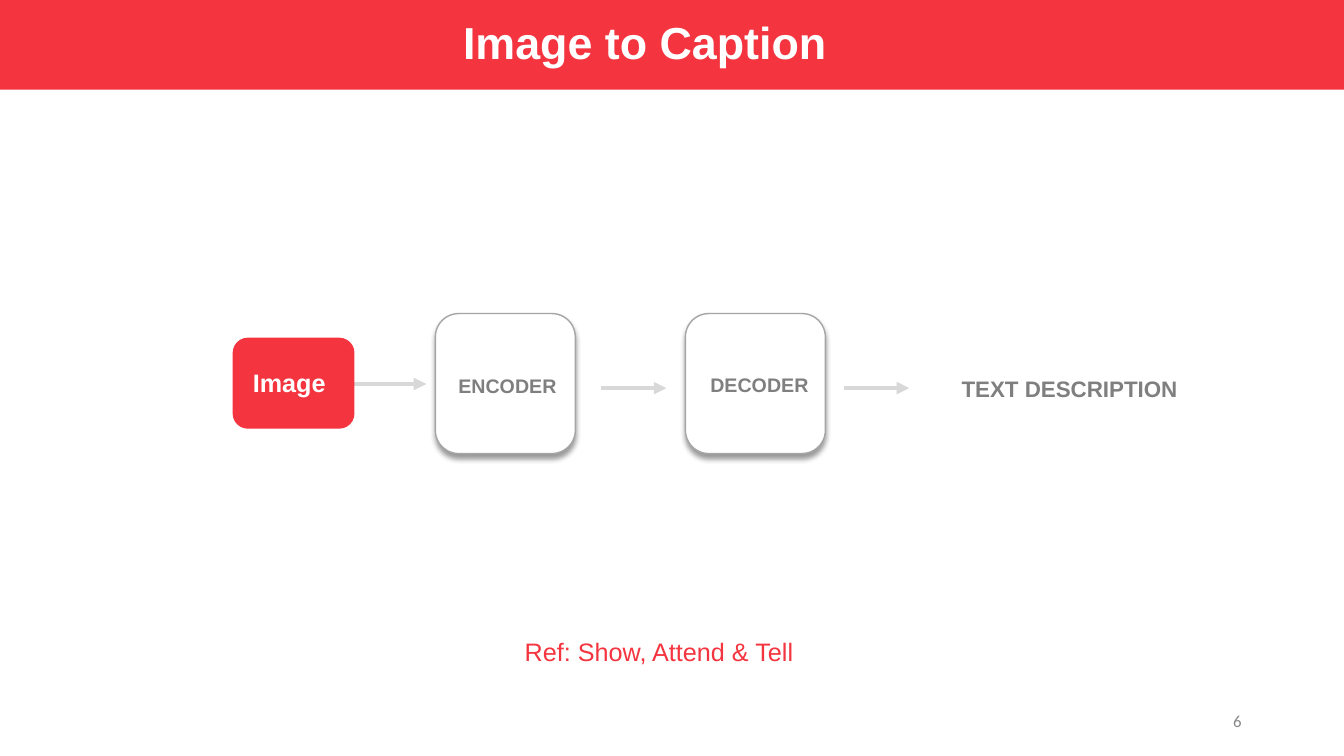
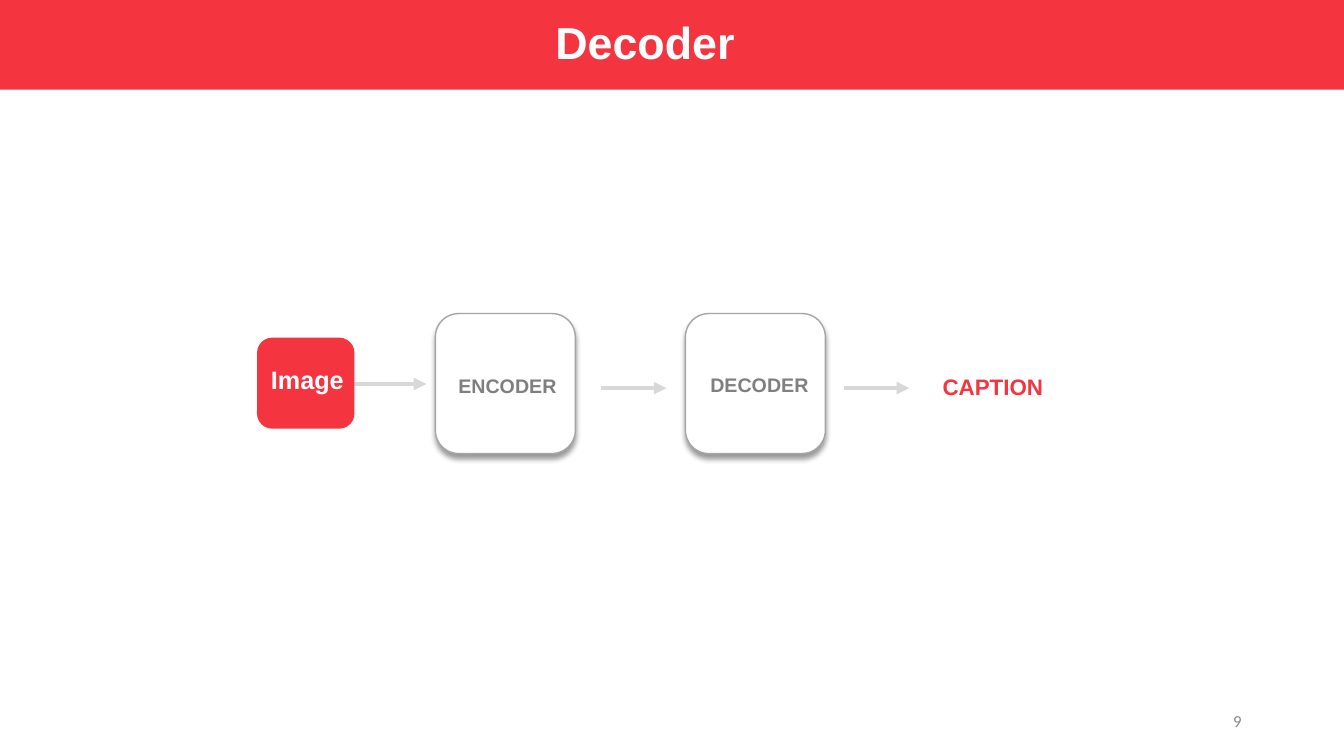
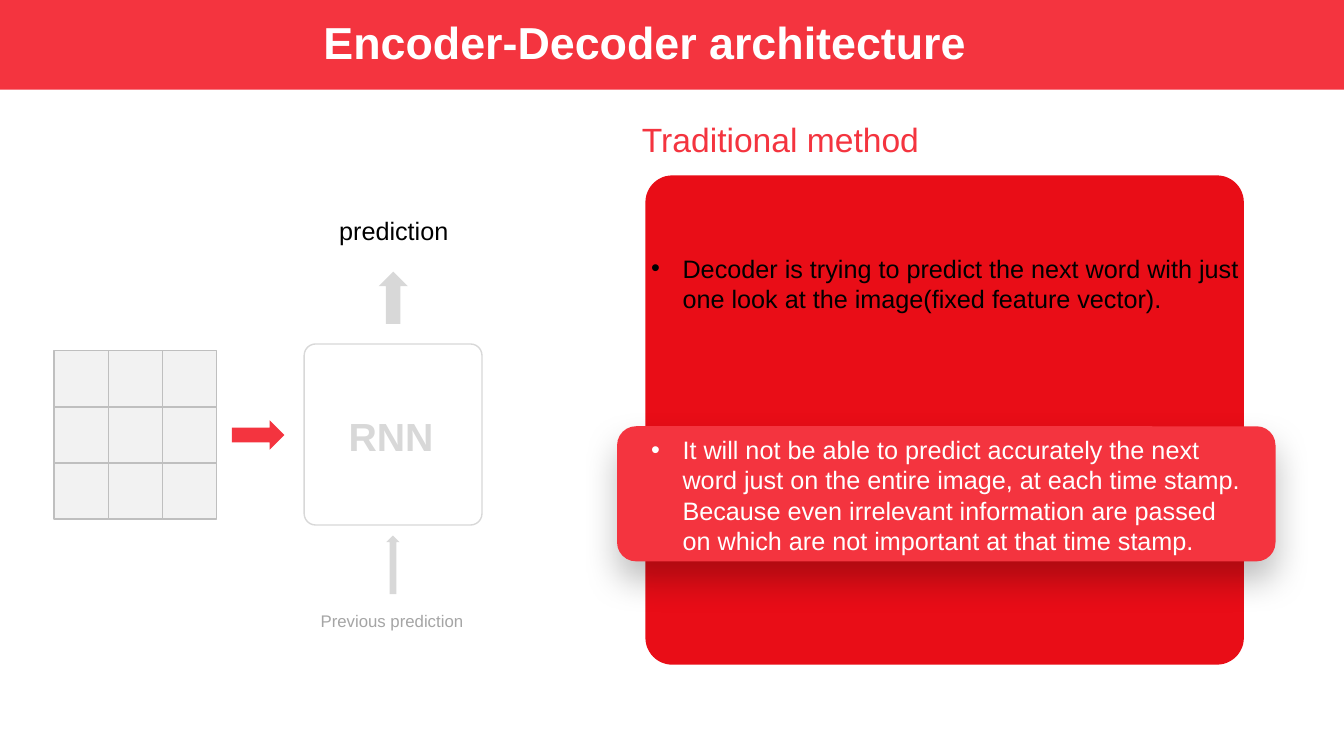
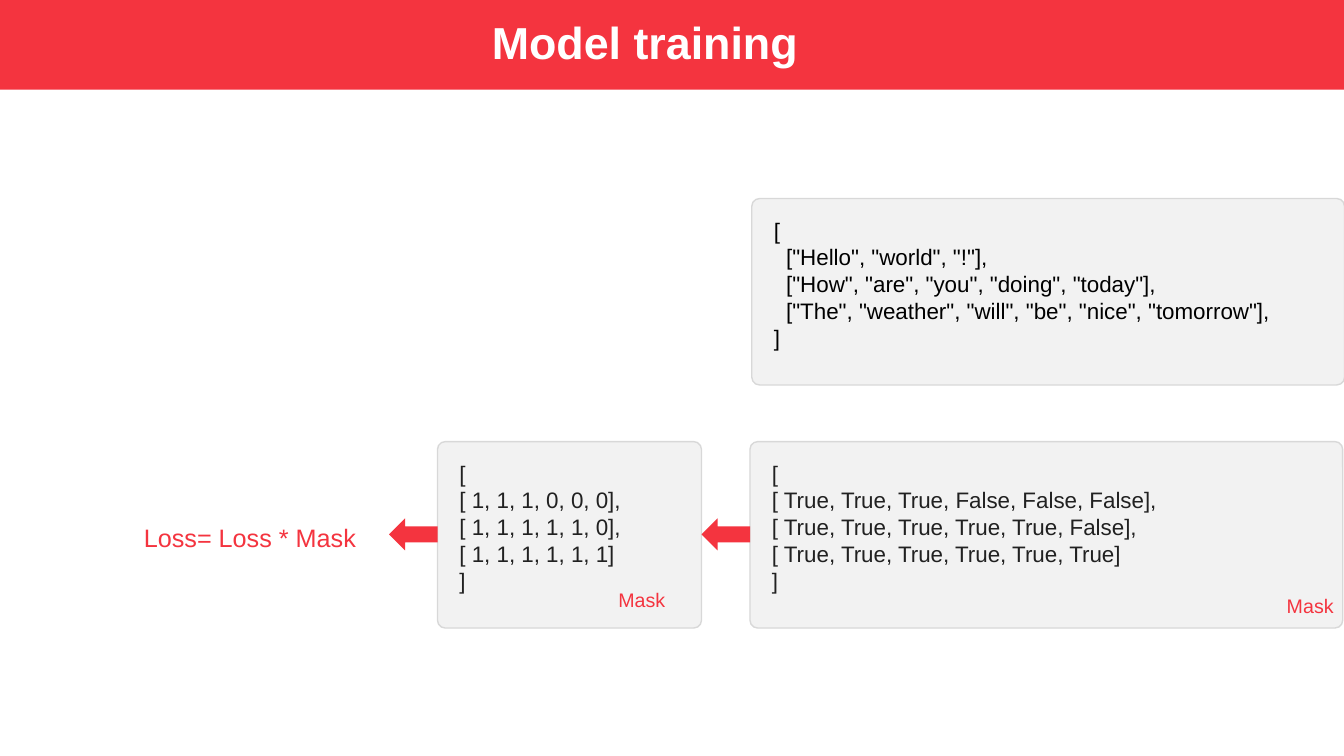
from lxml import etree
from pptx import Presentation
from pptx.dml.color import RGBColor
from pptx.enum.shapes import MSO_CONNECTOR, MSO_SHAPE
from pptx.enum.text import MSO_ANCHOR, PP_ALIGN
from pptx.oxml.ns import qn
from pptx.util import Pt

# Shared palette and fonts
RED = RGBColor(0xF4, 0x34, 0x3F)
DEEP_RED = RGBColor(0xE9, 0x0D, 0x17)
WHITE = RGBColor(0xFF, 0xFF, 0xFF)
BLACK = RGBColor(0x00, 0x00, 0x00)
INK = RGBColor(0x21, 0x21, 0x21)
GRAY = RGBColor(0x7F, 0x7F, 0x7F)
PAGE_GRAY = RGBColor(0x88, 0x88, 0x88)
MID_GRAY = RGBColor(0xA5, 0xA5, 0xA5)
CELL_LINE = RGBColor(0xBF, 0xBF, 0xBF)
LIGHT_GRAY = RGBColor(0xD8, 0xD8, 0xD8)
PALE = RGBColor(0xF2, 0xF2, 0xF2)
SANS = "Arial"
PAGE_FONT = "Calibri"

LEFT, CENTER, RIGHT = PP_ALIGN.LEFT, PP_ALIGN.CENTER, PP_ALIGN.RIGHT
RECT, ROUND = MSO_SHAPE.RECTANGLE, MSO_SHAPE.ROUNDED_RECTANGLE
RIGHT_ARROW, LEFT_ARROW, UP_ARROW = (
    MSO_SHAPE.RIGHT_ARROW, MSO_SHAPE.LEFT_ARROW, MSO_SHAPE.UP_ARROW)
TOP, MIDDLE = MSO_ANCHOR.TOP, MSO_ANCHOR.MIDDLE
STRAIGHT = MSO_CONNECTOR.STRAIGHT

SLIDE_W, SLIDE_H = 960, 540
BULLET_INDENT = 22.5


def add_shape(s, kind, x, y, w, h, fill, line=None, radius=None):
    sp = s.shapes.add_shape(kind, Pt(x), Pt(y), Pt(w), Pt(h))
    sp.shadow.inherit = False
    sp.fill.solid()
    sp.fill.fore_color.rgb = fill
    if line is None:
        sp.line.fill.background()
    else:
        sp.line.color.rgb = line
        sp.line.width = Pt(1)
    if radius is not None:
        sp.adjustments[0] = radius
    return sp


def add_shadow(sp, blur, dist, opacity):
    """Black shadow straight below the shape."""
    effects = sp._element.spPr.find(qn("a:effectLst"))
    shadow = etree.SubElement(
        effects, qn("a:outerShdw"), blurRad=str(Pt(blur)), dist=str(Pt(dist)),
        dir="5400000", algn="t", rotWithShape="0")
    color = etree.SubElement(shadow, qn("a:srgbClr"), val=str(BLACK))
    etree.SubElement(color, qn("a:alpha"), val=str(opacity * 1000))


def add_run(p, text, size, color, bold=False, font=SANS):
    r = p.add_run()
    r.text = text
    r.font.name = font
    r.font.size = Pt(size)
    r.font.bold = bold
    r.font.color.rgb = color


def add_frame(s, x, y, w, h, anchor=TOP):
    tf = s.shapes.add_textbox(Pt(x), Pt(y), Pt(w), Pt(h)).text_frame
    tf.word_wrap = True
    tf.vertical_anchor = anchor
    return tf


def add_text(s, x, y, w, h, lines, size, color, bold=False, align=CENTER,
             font=SANS, anchor=TOP):
    tf = add_frame(s, x, y, w, h, anchor)
    for i, line in enumerate(lines):
        p = tf.add_paragraph() if i else tf.paragraphs[0]
        p.alignment = align
        add_run(p, line, size, color, bold, font)


def add_bullet(p, text, size, color):
    pPr = p._p.get_or_add_pPr()
    pPr.set("marL", str(Pt(BULLET_INDENT)))
    pPr.set("indent", str(-Pt(BULLET_INDENT)))
    bu_color = etree.SubElement(pPr, qn("a:buClr"))
    etree.SubElement(bu_color, qn("a:srgbClr"), val=str(color))
    etree.SubElement(pPr, qn("a:buFont"), typeface=SANS)
    etree.SubElement(pPr, qn("a:buChar"), char="•")
    add_run(p, text, size, color)


def add_flow_arrow(s, x1, x2, y):
    cx = s.shapes.add_connector(STRAIGHT, Pt(x1), Pt(y), Pt(x2), Pt(y))
    cx.line.color.rgb = LIGHT_GRAY
    cx.line.width = Pt(3)
    etree.SubElement(cx.line._get_or_add_ln(), qn("a:tailEnd"), type="triangle")
    etree.SubElement(cx._element.spPr, qn("a:effectLst"))


def add_titled_slide(prs, title):
    s = prs.slides.add_slide(prs.slide_layouts[6])
    add_shape(s, RECT, 0, 0, SLIDE_W, 64, RED)
    add_text(s, 210, 7, 501.5, 46, [title], 32, WHITE, bold=True)
    return s


def add_page_number(s, number):
    add_text(s, 678, 500.5, 216, 28.8, [number], 12, PAGE_GRAY, align=RIGHT,
             font=PAGE_FONT, anchor=MIDDLE)


def add_stage(s, x, label, label_x, label_y):
    box = add_shape(s, ROUND, x, 224, 100, 100, WHITE, MID_GRAY, 0.167)
    add_shadow(box, 4, 3, 40)
    add_text(s, label_x, label_y, 133, 24.5, [label], 14, GRAY, bold=True)


def add_pipeline(s, image_x, image_label_x, image_label_y):
    """Image -> encoder -> decoder -> output."""
    add_stage(s, 311, "ENCODER", 296, 263.5)
    add_stage(s, 489.6, "DECODER", 476, 262.8)
    for x1, x2, y in ((250.5, 304.5, 274.3), (429, 476, 277.2),
                      (603, 649.5, 277.2)):
        add_flow_arrow(s, x1, x2, y)
    add_shape(s, ROUND, image_x, 241.2, 253.2 - image_x, 65, RED, radius=0.167)
    add_text(s, image_label_x, image_label_y, 80, 28.8, ["Image"], 18, WHITE,
             bold=True, align=LEFT)


def add_code_card(s, x, y, w, lines, color):
    add_shape(s, ROUND, x, y, w, 133.2, PALE, LIGHT_GRAY, 0.042)
    add_text(s, x + 8.6, y + 9.4, w - 36, 104.4, lines, 16, color, align=LEFT)


def build_overview(prs):
    s = add_titled_slide(prs, "Image to Caption")
    add_pipeline(s, 166.2, 173.5, 258.5)
    add_text(s, 656, 264.2, 216, 26.6, ["TEXT DESCRIPTION"], 16, GRAY, bold=True)
    add_text(s, 267, 450.7, 407.5, 28.8, ["Ref: Show, Attend & Tell"], 18, RED)
    add_page_number(s, "6")


def build_decoder(prs):
    s = add_titled_slide(prs, "Decoder")
    add_pipeline(s, 183.6, 186.5, 256.5)
    add_text(s, 648.7, 262.8, 121, 26.6, ["CAPTION"], 16, RED, bold=True)
    add_page_number(s, "9")


def build_architecture(prs):
    s = add_titled_slide(prs, "Encoder-Decoder architecture")

    # Feature grid feeding the RNN
    cell_w, cell_h = 38.65, 40.1
    for row in range(3):
        for col in range(3):
            add_shape(s, RECT, 38.7 + col * cell_w, 250.5 + row * cell_h,
                      cell_w, cell_h, PALE, CELL_LINE)
    add_shape(s, RIGHT_ARROW, 165.7, 300.3, 37.4, 20.9, RED)
    add_shape(s, ROUND, 217.3, 245.7, 127, 129.3, WHITE, LIGHT_GRAY, 0.064)
    add_text(s, 239, 291, 80.6, 41, ["RNN"], 28, LIGHT_GRAY, bold=True)

    # Previous prediction in, prediction out
    add_shape(s, UP_ARROW, 276, 382.5, 9.4, 41.8, LIGHT_GRAY)
    add_shape(s, UP_ARROW, 270.4, 194, 20.9, 37.4, LIGHT_GRAY)
    add_text(s, 232, 150.5, 98.6, 28.8, ["prediction"], 18, BLACK)
    add_text(s, 214.5, 432.7, 131, 21.6, ["Previous prediction"], 12, MID_GRAY)

    # Drawbacks of the traditional method
    add_text(s, 451.5, 81.4, 288, 36, ["Traditional method"], 24, RED, align=LEFT)
    add_shape(s, ROUND, 461, 125.3, 427.5, 349.5, DEEP_RED, radius=0.055)
    highlight = add_shape(s, ROUND, 440.8, 304.5, 470.3, 96.5, RED, radius=0.14)
    add_shadow(highlight, 25, 13, 25)
    tf = add_frame(s, 458, 177.2, 436.3, 225.4)
    add_bullet(tf.paragraphs[0],
               "Decoder is trying to predict the next word with just one look "
               "at the image(fixed feature vector).", 18, BLACK)
    p = tf.add_paragraph()
    p.space_before = Pt(86.4)
    add_bullet(p, "It will not be able to predict accurately the next word just "
               "on the entire image, at each time stamp. Because even irrelevant "
               "information are passed on which are not important at that time "
               "stamp.", 18, WHITE)


def build_training(prs):
    s = add_titled_slide(prs, "Model training")
    mask_y = 315.4
    bool_x, number_x = 535.7, 312.5

    # Sentences and their masks
    add_code_card(s, 537, 141.8, 423.4, [
        '[',
        '  ["Hello", "world", "!"],',
        '  ["How", "are", "you", "doing", "today"],',
        '  ["The", "weather", "will", "be", "nice", "tomorrow"],',
        ']'], BLACK)
    add_code_card(s, bool_x, mask_y, 423.4, [
        "[",
        "[ True, True, True, False, False, False],",
        "[ True, True, True, True, True, False],",
        "[ True, True, True, True, True, True]",
        "]"], INK)
    add_code_card(s, number_x, mask_y, 188.6, [
        "[",
        "[ 1, 1, 1, 0, 0, 0],",
        "[ 1, 1, 1, 1, 1, 0],",
        "[ 1, 1, 1, 1, 1, 1]",
        "]"], INK)
    for x, y in ((829.4, 420.5), (352, 416.5)):
        add_text(s, x, y, 130.3, 24.5, ["Mask"], 14, RED, align=RIGHT)

    # Arrows leading to the masked loss
    arrow_w = 34.6
    for x in (bool_x, number_x):
        add_shape(s, LEFT_ARROW, x - arrow_w, 370.2, arrow_w, 23, RED)
    add_text(s, 92, 369.4, 173, 28.8, ["Loss= Loss * Mask"], 18, RED)


def main():
    prs = Presentation()
    prs.slide_width, prs.slide_height = Pt(SLIDE_W), Pt(SLIDE_H)
    build_overview(prs)
    build_decoder(prs)
    build_architecture(prs)
    build_training(prs)
    prs.save("out.pptx")


if __name__ == "__main__":
    main()
